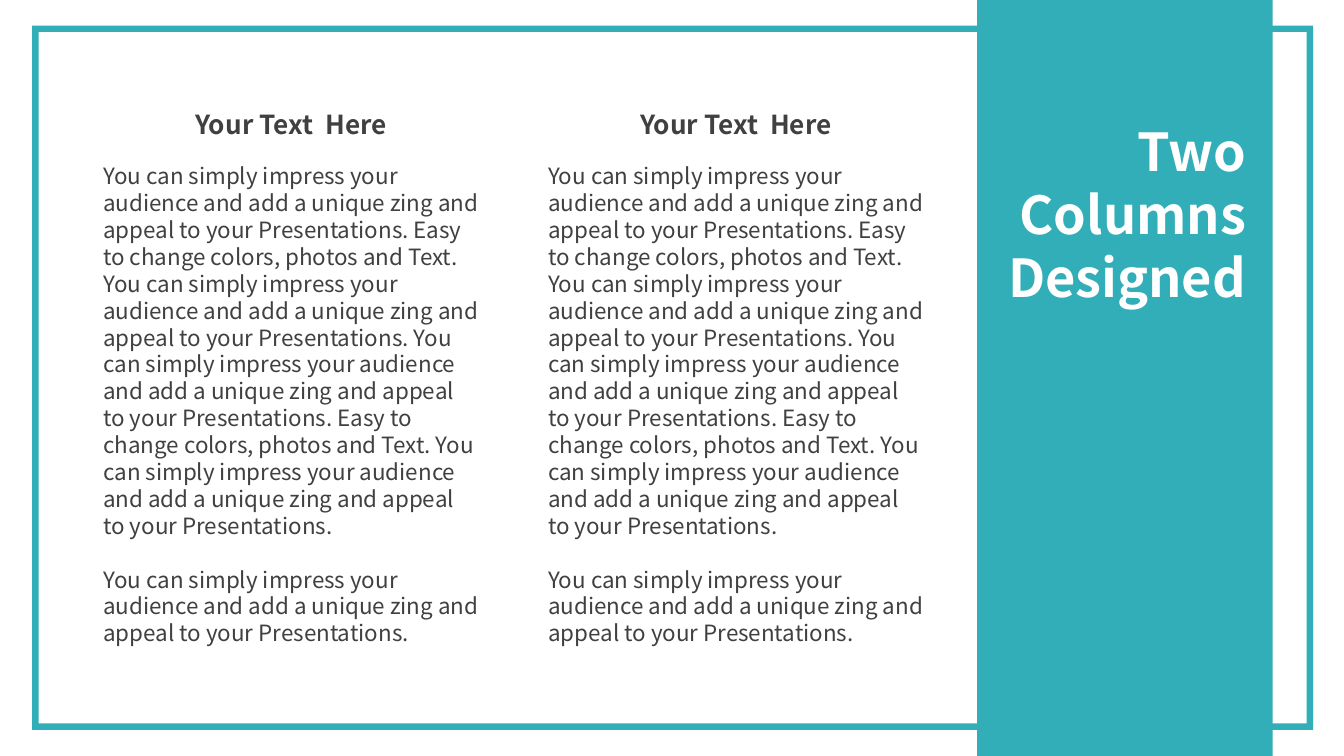
from pptx import Presentation, util as u
from pptx.dml.color import RGBColor
from pptx.enum import shapes, text

# Content
TITLE = "Two Columns Designed"
PITCH = "You can simply impress your audience and add a unique zing and appeal to your Presentations."
EASY = "Easy to change colors, photos and Text."
BODY = [f"{PITCH} {EASY}", f"{PITCH} {PITCH} {EASY} {PITCH}", PITCH]
COLUMNS = [("Your Text  Here", BODY), ("Your Text  Here", BODY)]

# Style and grid, in inches
COLORS = {"teal": "32AEB8", "text": "404040", "white": "FFFFFF"}
FONT = "Noto Sans CJK KR"
WIDTH = 10
HEIGHT = WIDTH * 9 / 16
COLUMN_LEFT, COLUMN_WIDTH, COLUMN_STEP = 0.67, 2.99, 3.31
HEADING_TOP, HEADING_HEIGHT = 0.76, 0.34
BODY_TOP, BODY_HEIGHT = 1.16, 4.14
LAST_GAP = 14.4  # points, one line of body text


def inches(*values):
    return [u.Inches(value) for value in values]


def add_block(slide, preset, box):
    shape = slide.shapes.add_shape(preset, *inches(*box))
    shape.shadow.inherit = False
    shape.fill.solid()
    shape.fill.fore_color.rgb = RGBColor.from_string(COLORS["teal"])
    shape.line.fill.background()
    return shape


def write(shape, paragraphs, size, color, align, bold=False):
    frame = shape.text_frame
    frame.text = "\n".join(paragraphs)
    frame.word_wrap = True
    frame.auto_size = text.MSO_AUTO_SIZE.NONE
    frame.vertical_anchor = text.MSO_ANCHOR.TOP
    for paragraph in frame.paragraphs:
        paragraph.alignment = align
        for run in paragraph.runs:
            run.font.name = FONT
            run.font.size = u.Pt(size)
            run.font.bold = bold
            run.font.color.rgb = RGBColor.from_string(COLORS[color])
    return frame


presentation = Presentation()
presentation.slide_width, presentation.slide_height = inches(WIDTH, HEIGHT)
slide = presentation.slides.add_slide(presentation.slide_layouts[5])

# Border and title band
border = add_block(slide, shapes.MSO_SHAPE.FRAME, (0.24, 0.19, 9.53, 5.24))
border.adjustments[0] = 0.009
band = add_block(slide, shapes.MSO_SHAPE.RECTANGLE, (7.27, 0, 2.2, HEIGHT))

# Title, brought in front of the band
title = slide.shapes.title
band._element.addnext(title._element)
title.left, title.top, title.width, title.height = inches(7.4, 0.84, 1.97, 1.58)
write(title, [TITLE], 28, "white", text.PP_ALIGN.RIGHT, bold=True)

# Text columns
for index, (heading, body) in enumerate(COLUMNS):
    left = COLUMN_LEFT + index * COLUMN_STEP
    body_box = slide.shapes.add_textbox(*inches(left, BODY_TOP, COLUMN_WIDTH, BODY_HEIGHT))
    frame = write(body_box, body, 12, "text", text.PP_ALIGN.LEFT)
    frame.paragraphs[-1].space_before = u.Pt(LAST_GAP)
    heading_box = slide.shapes.add_textbox(*inches(left, HEADING_TOP, COLUMN_WIDTH, HEADING_HEIGHT))
    write(heading_box, [heading], 14, "text", text.PP_ALIGN.CENTER, bold=True)

presentation.save("out.pptx")
